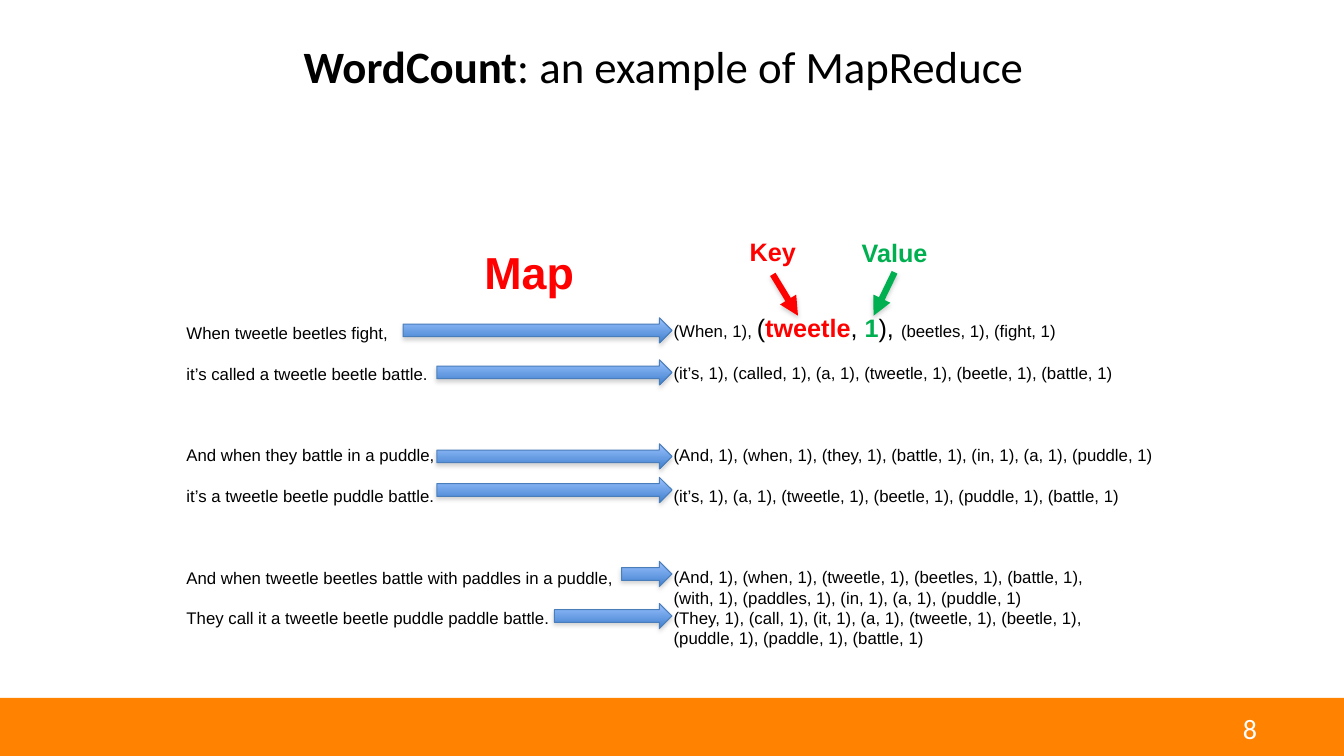
import pptx
import pptx.dml.color
import pptx.enum.shapes
import pptx.enum.text
import pptx.oxml
import pptx.oxml.ns
import pptx.util

Pt = pptx.util.Pt
RGBColor = pptx.dml.color.RGBColor
Align = pptx.enum.text.PP_ALIGN
Anchor = pptx.enum.text.MSO_ANCHOR
qn = pptx.oxml.ns.qn

BLACK = RGBColor(0x00, 0x00, 0x00)
WHITE = RGBColor(0xFF, 0xFF, 0xFF)
RED = RGBColor(0xFF, 0x00, 0x00)
GREEN = RGBColor(0x00, 0xB0, 0x50)
ORANGE = RGBColor(0xFF, 0x82, 0x00)
ARROW_TOP = RGBColor(0x9B, 0xC1, 0xFF)
ARROW_BOTTOM = RGBColor(0x3F, 0x80, 0xCD)
ARROW_EDGE = RGBColor(0x4A, 0x7E, 0xBB)
SHADOW = RGBColor(0x80, 0x80, 0x80)

ROW_GAP = 14.65
VERSE_GAP = 3 * ROW_GAP
ARROW_TIP = 480

LYRICS = [
    (0, ["When tweetle beetles fight,"]),
    (ROW_GAP, ["it’s called a tweetle beetle battle."]),
    (VERSE_GAP, ["And when they battle in a puddle,"]),
    (ROW_GAP, ["it’s a tweetle beetle puddle battle."]),
    (VERSE_GAP, ["And when tweetle beetles battle with paddles in a puddle,"]),
    (ROW_GAP, ["They call it a tweetle beetle puddle paddle battle."]),
]
LARGE = {"size": Pt(18)}
PAIRS = [
    (0, ["(When, 1), ", ("(", LARGE),
         ("tweetle", {**LARGE, "bold": True, "color": RED}), (", ", LARGE),
         ("1", {**LARGE, "bold": True, "color": GREEN}), ("), ", LARGE),
         "(beetles, 1), (fight, 1)"]),
    (ROW_GAP, ["(it’s, 1), (called, 1), (a, 1), (tweetle, 1), (beetle, 1), (battle, 1)"]),
    (VERSE_GAP, ["(And, 1), (when, 1), (they, 1), (battle, 1), (in, 1), (a, 1), (puddle, 1)"]),
    (ROW_GAP, ["(it’s, 1), (a, 1), (tweetle, 1), (beetle, 1), (puddle, 1), (battle, 1)"]),
    (VERSE_GAP, ["(And, 1), (when, 1), (tweetle, 1), (beetles, 1), (battle, 1),"]),
    (0, ["(with, 1), (paddles, 1), (in, 1), (a, 1), (puddle, 1)"]),
    (0, ["(They, 1), (call, 1), (it, 1), (a, 1), (tweetle, 1), (beetle, 1),"]),
    (0, ["(puddle, 1), (paddle, 1), (battle, 1)"]),
]
ARROWS = [(227, 192), (257, 168), (317, 168), (341, 168), (401, 36), (431, 84)]


def apply_format(target, values):
    """Set each named attribute of the target."""
    for name, value in values.items():
        setattr(target, name, value)


class SlideBuilder:
    """Hold the text style and the current slide, and draw its elements."""

    def __init__(self, slide):
        """Keep the slide and the basic text style."""
        self.slide = slide
        self.style = {"name": "Arial", "size": Pt(12), "bold": False, "color": BLACK}

    def fill_text(self, shape, box, paragraphs, alignment=Align.LEFT, anchor=Anchor.TOP, **style):
        """Place a shape and fill it with formatted paragraphs."""
        apply_format(shape, dict(zip(("left", "top", "width", "height"), map(Pt, box))))
        frame = shape.text_frame
        apply_format(frame, {"word_wrap": True, "vertical_anchor": anchor,
                             "auto_size": pptx.enum.text.MSO_AUTO_SIZE.NONE})
        for index, (gap, runs) in enumerate(paragraphs):
            paragraph = frame.add_paragraph() if index else frame.paragraphs[0]
            if shape.is_placeholder:
                properties = paragraph._p.get_or_add_pPr()
                properties.set("marL", "0")
                properties.set("indent", "0")
                properties.append(pptx.oxml.parse_xml(
                    f'<a:buNone {pptx.oxml.ns.nsdecls("a")}/>'))
            apply_format(paragraph, {"alignment": alignment, "space_before": Pt(gap),
                                     "space_after": Pt(0), "line_spacing": 1.0})
            for item in runs:
                text, changes = (item, {}) if isinstance(item, str) else item
                run = paragraph.add_run()
                run.text = text
                values = {**self.style, **style, **changes}
                run.font.color.rgb = values.pop("color")
                apply_format(run.font, values)

    def label(self, text, box, alignment=Align.CENTER, **style):
        """Add a text box with a single run."""
        shape = self.slide.shapes.add_textbox(0, 0, 0, 0)
        self.fill_text(shape, box, [(0, [text])], alignment, **style)

    def band(self, box, color):
        """Add a plain filled rectangle."""
        shape = self.slide.shapes.add_shape(
            pptx.enum.shapes.MSO_SHAPE.RECTANGLE, *map(Pt, box))
        shape.shadow.inherit = False
        shape.fill.solid()
        shape.fill.fore_color.rgb = color
        shape.line.fill.background()

    def cast_shadow(self, shape, alpha, distance):
        """Give a shape a soft shadow below it."""
        shape.element.spPr.append(pptx.oxml.parse_xml(
            f'<a:effectLst {pptx.oxml.ns.nsdecls("a")}>'
            f'<a:outerShdw blurRad="{Pt(3.1)}" dist="{Pt(distance)}" dir="5400000" '
            f'rotWithShape="0"><a:srgbClr val="{SHADOW}"><a:alpha val="{alpha * 1000}"/>'
            '</a:srgbClr></a:outerShdw></a:effectLst>'))

    def block_arrow(self, top, width):
        """Add a gradient arrow that ends at the common tip."""
        shape = self.slide.shapes.add_shape(
            pptx.enum.shapes.MSO_SHAPE.RIGHT_ARROW,
            *map(Pt, (ARROW_TIP - width, top, width, 18)))
        shape.fill.gradient()
        shape.fill.gradient_angle = 270
        for stop, position, color in zip(shape.fill.gradient_stops, (0, 1),
                                         (ARROW_TOP, ARROW_BOTTOM)):
            stop.position = position
            stop.color.rgb = color
        shape.line.color.rgb = ARROW_EDGE
        shape.line.width = Pt(0.75)
        self.cast_shadow(shape, 35, 1.8)

    def pointer(self, start, end, color):
        """Add a thick line with an arrowhead at its end."""
        connector = self.slide.shapes.add_connector(
            pptx.enum.shapes.MSO_CONNECTOR.STRAIGHT, *map(Pt, start + end))
        connector.line.color.rgb = color
        connector.line.width = Pt(4.5)
        connector.element.spPr.find(qn("a:ln")).append(pptx.oxml.parse_xml(
            f'<a:tailEnd {pptx.oxml.ns.nsdecls("a")} type="triangle"/>'))
        self.cast_shadow(connector, 38, 1.6)


def main():
    """Build the word count slide and save it."""
    presentation = pptx.Presentation()
    apply_format(presentation, {"slide_width": Pt(960), "slide_height": Pt(540)})
    slide = presentation.slides.add_slide(presentation.slide_layouts[3])
    builder = SlideBuilder(slide)
    title, lyrics, pairs = slide.placeholders

    builder.band((0, 498.5, 960, 41.5), ORANGE)
    builder.fill_text(title, (114, 24, 720, 46),
                      [(0, [("WordCount", {"bold": True}), ": an example of MapReduce"])],
                      Align.CENTER, name="Calibri", size=Pt(32))
    builder.fill_text(lyrics, (126, 227, 324, 225), LYRICS)
    builder.fill_text(pairs, (474, 219.5, 360, 247), PAIRS)
    for top, width in ARROWS:
        builder.block_arrow(top, width)

    builder.label("Map", (306, 171.5, 144, 46), size=Pt(32), bold=True, color=RED)
    builder.label("Key", (522, 165.5, 60, 30), size=Pt(18), bold=True, color=RED)
    builder.label("Value", (606, 166, 66, 29), size=Pt(18), bold=True, color=GREEN)
    builder.pointer((552, 196), (570, 225.5), RED)
    builder.pointer((639, 194.5), (624, 225.5), GREEN)
    builder.label("8", (737, 505, 168, 29), Align.RIGHT,
                  name="Calibri", size=Pt(20), color=WHITE)
    presentation.save("out.pptx")


if __name__ == "__main__":
    main()
